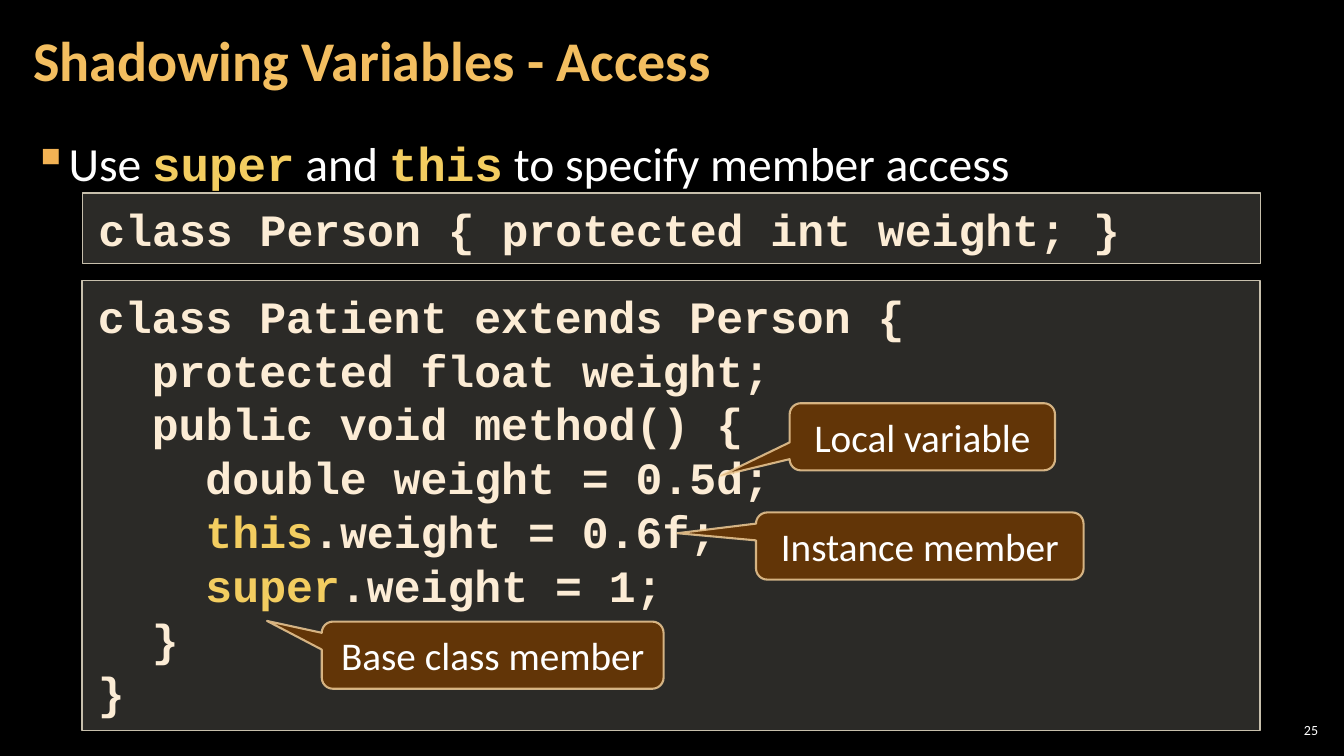
"""Build the slide on accessing shadowed variables with super and this."""
from dataclasses import dataclass
from lxml.etree import SubElement
from pptx import Presentation
from pptx.dml.color import RGBColor
from pptx.enum.shapes import MSO_SHAPE
from pptx.enum.text import MSO_ANCHOR, MSO_AUTO_SIZE, PP_ALIGN
from pptx.oxml.ns import qn
from pptx.util import Inches, Pt

COLORS = {
    "background": "000000",
    "title": "F3BE60",
    "bullet": "F2B254",
    "text": "FFFFFF",
    "keyword": "F3CD60",
    "code": "FCECD5",
    "code_fill": "D9D5C7",
    "code_line": "C7BFAC",
    "callout_fill": "663606",
    "callout_line": "F8D49E",
}
TEXT_FONT, CODE_FONT = "Calibri", "Courier New"
COLUMNS, ROWS = 160, 90
CELL = Inches(1 / 12)
CODE_SIZE = 32
CODE_CHARACTER_WIDTH = 0.6 * CODE_SIZE


@dataclass(frozen=True)
class Box:
    left: float
    top: float
    width: float
    height: float

    def lengths(self) -> list[int]:
        return [round(cells * CELL) for cells in (self.left, self.top, self.width, self.height)]


@dataclass(frozen=True)
class TextStyle:
    font: str
    size: float
    color: str
    bold: bool = False


@dataclass(frozen=True)
class CodeBlock:
    box: Box
    lines: tuple[str, ...]


@dataclass(frozen=True)
class Callout:
    box: Box
    text: str
    tip: tuple[float, float]


TITLE_STYLE = TextStyle(TEXT_FONT, 40, "title", True)
BODY_STYLE = TextStyle(TEXT_FONT, 34, "text")
CODE_STYLE = TextStyle(CODE_FONT, CODE_SIZE, "code", True)
CALLOUT_STYLE = TextStyle(TEXT_FONT, 28, "text")
NUMBER_STYLE = TextStyle(TEXT_FONT, 10, "text")

CODE_BLOCKS = (
    CodeBlock(Box(9.75, 33.4, 140.25, 53.6), (
        "class Patient extends Person {",
        "  protected float weight;",
        "  public void method() {",
        "    double weight = 0.5d;",
        "    |this|.weight = 0.6f;",
        "    |super|.weight = 1;",
        "  }",
        "}",
    )),
    CodeBlock(Box(9.8, 23, 140.25, 8.4), ("class Person { protected int weight; }",)),
)
CALLOUTS = (
    Callout(Box(90, 61, 39, 8), "Instance member", (-0.74, -0.19)),
    Callout(Box(38.3, 74, 40.7, 8), "Base class member", (-0.66, -0.51)),
    Callout(Box(94, 48, 31.6, 8), "Local variable", (-0.76, 0.58)),
)


def rgb(name: str) -> RGBColor:
    return RGBColor.from_string(COLORS[name])


def style_font(font, style: TextStyle) -> None:
    font.name, font.size, font.bold = style.font, Pt(style.size), style.bold
    font.color.rgb = rgb(style.color)


def write_paragraph(paragraph, text: str, style: TextStyle) -> None:
    """Write text, with keywords marked by bars."""
    parts = text.split("|")
    if len(parts) == 1:
        style_font(paragraph.font, style)
    keyword_style = TextStyle(CODE_FONT, style.size, "keyword", True)
    for index, part in enumerate(parts):
        if part:
            run = paragraph.add_run()
            run.text = part
            if len(parts) > 1:
                style_font(run.font, keyword_style if index % 2 else style)


def set_frame(frame, horizontal: float, vertical: float, anchor=MSO_ANCHOR.TOP) -> None:
    frame.word_wrap = True
    frame.auto_size = MSO_AUTO_SIZE.NONE
    frame.vertical_anchor = anchor
    frame.margin_left = frame.margin_right = Inches(horizontal)
    frame.margin_top = frame.margin_bottom = Inches(vertical)


def set_opacity(fill_parent, percent: int) -> None:
    color = fill_parent.find(f"{qn('a:solidFill')}/{qn('a:srgbClr')}")
    SubElement(color, qn("a:alpha"), val=str(percent * 1000))


def add_panel(slide, kind, box: Box, role: str, opacity: int, line_width: float):
    shape = slide.shapes.add_shape(kind, *box.lengths())
    shape.shadow.inherit = False
    shape.fill.solid()
    shape.fill.fore_color.rgb = rgb(f"{role}_fill")
    set_opacity(shape._element.spPr, opacity)
    shape.line.color.rgb = rgb(f"{role}_line")
    shape.line.width = Pt(line_width)
    return shape


def add_title(slide, text: str) -> None:
    title = slide.shapes.title
    title.left, title.top, title.width, title.height = Box(2.5, 0.5, 125.6, 14.5).lengths()
    set_frame(title.text_frame, 0.12, 0.04, MSO_ANCHOR.MIDDLE)
    paragraph = title.text_frame.paragraphs[0]
    paragraph.alignment = PP_ALIGN.LEFT
    paragraph.line_spacing = Pt(40)
    write_paragraph(paragraph, text, TITLE_STYLE)


def add_body(slide, text: str) -> None:
    frame = slide.shapes.add_textbox(*Box(2.5, 15.1, 155, 73.1).lengths()).text_frame
    set_frame(frame, 0.12, 0.04)
    paragraph = frame.paragraphs[0]
    properties = paragraph._p.get_or_add_pPr()
    properties.set("marL", str(Inches(0.33)))
    properties.set("indent", str(-Inches(0.33)))
    bullet_color = SubElement(properties, qn("a:buClr"))
    SubElement(bullet_color, qn("a:srgbClr"), val=COLORS["bullet"])
    SubElement(properties, qn("a:buChar"), char="▪")
    paragraph.line_spacing = 1.05
    paragraph.space_before = paragraph.space_after = Pt(6)
    write_paragraph(paragraph, text, BODY_STYLE)


def add_code(slide, block: CodeBlock) -> None:
    shape = add_panel(slide, MSO_SHAPE.RECTANGLE, block.box, "code", 20, 1)
    frame = shape.text_frame
    set_frame(frame, 0.16, 0.08)
    frame.auto_size = MSO_AUTO_SIZE.SHAPE_TO_FIT_TEXT
    for index, line in enumerate(block.lines):
        paragraph = frame.add_paragraph() if index else frame.paragraphs[0]
        paragraph.alignment = PP_ALIGN.LEFT
        code = line.lstrip()
        indent = Pt((len(line) - len(code)) * CODE_CHARACTER_WIDTH)
        paragraph._p.get_or_add_pPr().set("marL", str(indent))
        write_paragraph(paragraph, code, CODE_STYLE)


def add_callout(slide, callout: Callout) -> None:
    kind = MSO_SHAPE.ROUNDED_RECTANGULAR_CALLOUT
    shape = add_panel(slide, kind, callout.box, "callout", 95, 1.5)
    set_opacity(shape.line._ln, 80)
    shape.adjustments[0], shape.adjustments[1] = callout.tip
    set_frame(shape.text_frame, 0.1, 0.05, MSO_ANCHOR.MIDDLE)
    paragraph = shape.text_frame.paragraphs[0]
    paragraph.alignment = PP_ALIGN.CENTER
    write_paragraph(paragraph, callout.text, CALLOUT_STYLE)


def add_slide_number(slide, number: str) -> None:
    frame = slide.shapes.add_textbox(*Box(151.8, 85.7, 5.6, 2.5).lengths()).text_frame
    set_frame(frame, 0.04, 0.04, MSO_ANCHOR.MIDDLE)
    paragraph = frame.paragraphs[0]
    paragraph.alignment = PP_ALIGN.RIGHT
    write_paragraph(paragraph, number, NUMBER_STYLE)


def main() -> None:
    presentation = Presentation()
    presentation.slide_width, presentation.slide_height = COLUMNS * CELL, ROWS * CELL
    slide = presentation.slides.add_slide(presentation.slide_layouts.get_by_name("Title Only"))
    slide.background.fill.solid()
    slide.background.fill.fore_color.rgb = rgb("background")
    add_title(slide, "Shadowing Variables - Access")
    add_body(slide, "Use |super| and |this| to specify member access")
    for block in CODE_BLOCKS:
        add_code(slide, block)
    for callout in CALLOUTS:
        add_callout(slide, callout)
    add_slide_number(slide, "25")
    presentation.save("out.pptx")


if __name__ == "__main__":
    main()
